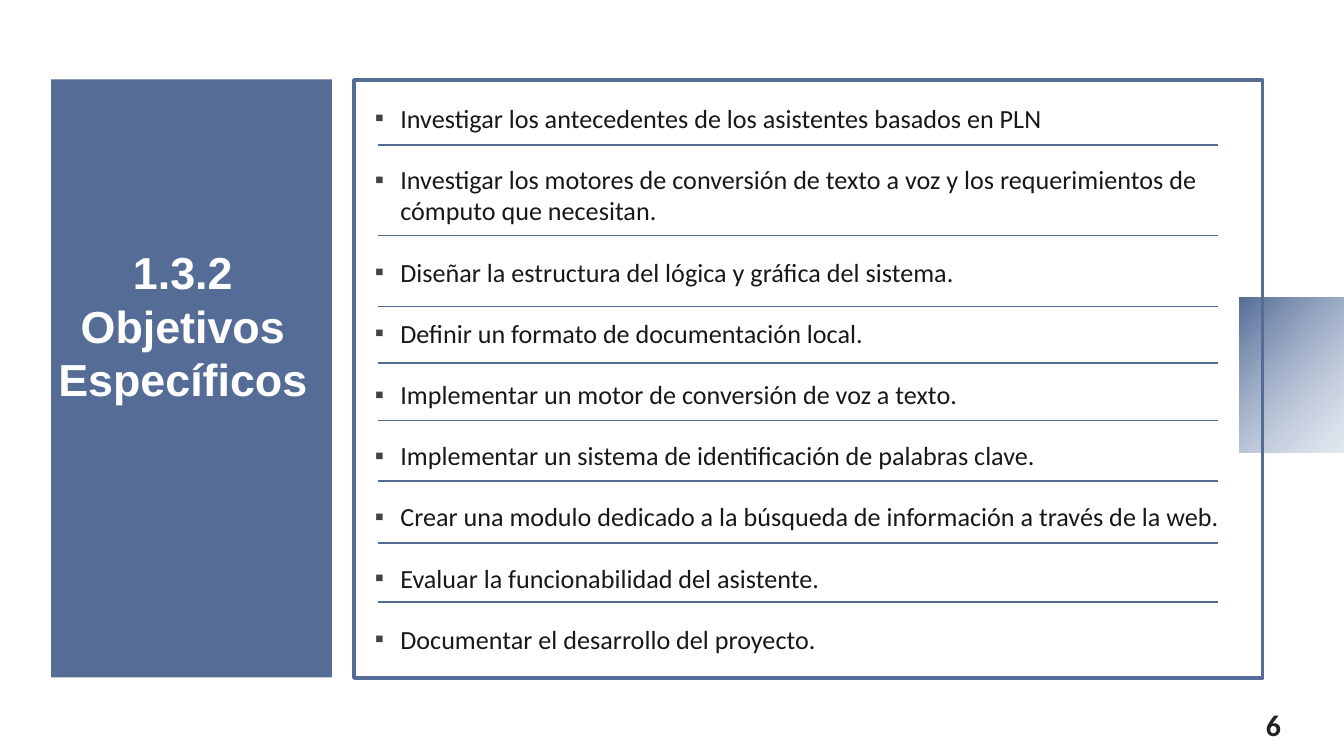
import pptx
import pptx.util
import pptx.dml.color
import pptx.enum.shapes
import pptx.enum.text
import pptx.oxml
import pptx.oxml.ns
import lxml.etree

Inches = pptx.util.Inches
Pt = pptx.util.Pt
Align = pptx.enum.text.PP_ALIGN
Anchor = pptx.enum.text.MSO_ANCHOR
qn = pptx.oxml.ns.qn


def color(value):
    return pptx.dml.color.RGBColor.from_string(value)


def add_text(box, paragraphs, paragraph_format, font_format, anchor=Anchor.TOP, bullet=None):
    frame = slide.shapes.add_textbox(*map(Inches, box)).text_frame
    frame.word_wrap = True
    frame.vertical_anchor = anchor
    for side in ("left", "right", "top", "bottom"):
        setattr(frame, f"margin_{side}", Inches(0.1))
    for index, wording in enumerate(paragraphs):
        paragraph = frame.paragraphs[0] if index == 0 else frame.add_paragraph()
        for name, value in paragraph_format.items():
            setattr(paragraph, name, value)
        if bullet:
            properties = paragraph._p.get_or_add_pPr()
            properties.set("marL", str(Inches(0.19)))
            properties.set("indent", str(Inches(-0.19)))
            bullet_color = lxml.etree.SubElement(properties, qn("a:buClr"))
            lxml.etree.SubElement(bullet_color, qn("a:srgbClr"), val="434343")
            lxml.etree.SubElement(properties, qn("a:buFont"), typeface="Arial")
            lxml.etree.SubElement(properties, qn("a:buChar"), char=bullet)
        run = paragraph.add_run()
        run.text = wording
        for name, value in font_format.items():
            if name == "color":
                run.font.color.rgb = color(value)
            else:
                setattr(run.font, name, value)


presentation = pptx.Presentation()
presentation.slide_width = Inches(10)
presentation.slide_height = Inches(10) * 9 // 16
slide = presentation.slides.add_slide(presentation.slide_layouts[6])

blocks = []
for box, rotation in [
    ((9.03, 2.4, 1.16, 0.78), 270),
    ((-0.8, 1.77, 4.45, 2.09), 90),
    ((3.79, -0.56, 4.45, 6.76), 270),
]:
    block = slide.shapes.add_shape(
        pptx.enum.shapes.MSO_SHAPE.RECTANGLE, *map(Inches, box))
    block.rotation = rotation
    block.shadow.inherit = False
    block.line.fill.background()
    blocks.append(block)
side_accent, title_panel, goals_frame = blocks

side_accent.fill.gradient()
side_accent.fill.gradient_angle = 45
for stop, position, shade in zip(side_accent.fill.gradient_stops, (0, 1), ("A9B9D3", "556D96")):
    stop.position = position
    stop.color.rgb = color(shade)
pale = side_accent._element.spPr.find(".//" + qn("a:srgbClr"))
lxml.etree.SubElement(pale, qn("a:alpha"), val="31000")

title_panel.fill.solid()
title_panel.fill.fore_color.rgb = color("556D96")

goals_frame.fill.background()
goals_frame.line.color.rgb = color("556D96")
goals_frame.line.width = Pt(2)

add_text(
    (0.17, 2.14, 2.38, 0.98),
    ["1.3.2 Objetivos Específicos"],
    {"alignment": Align.CENTER},
    {"size": Pt(24), "name": "Arial", "color": "FFFFFF", "bold": True},
    anchor=Anchor.BOTTOM,
)

goals = [
    "Investigar los antecedentes de los asistentes basados en PLN",
    "Investigar los motores de conversión de texto a voz y los requerimientos de cómputo que necesitan.",
    "Diseñar la estructura del lógica y gráfica del sistema.",
    "Definir un formato de documentación local.",
    "Implementar un motor de conversión de voz a texto.",
    "Implementar un sistema de identificación de palabras clave.",
    "Crear una modulo dedicado a la búsqueda de información a través de la web.",
    "Evaluar la funcionabilidad del asistente.",
    "Documentar el desarrollo del proyecto.",
]
add_text(
    (2.69, 0.66, 6.71, 4.33),
    goals,
    {"alignment": Align.LEFT, "space_after": Pt(16)},
    {"size": Pt(14), "name": "Calibri", "color": "181818"},
    bullet="▪",
)

for y in (1.08, 1.75, 2.28, 2.7, 3.13, 3.58, 4.04, 4.48):
    divider = slide.shapes.add_connector(
        pptx.enum.shapes.MSO_CONNECTOR.STRAIGHT,
        Inches(2.81), Inches(y), Inches(9.06), Inches(y))
    divider.line.color.rgb = color("526A94")
    divider.line.width = Pt(0.75)
    lxml.etree.SubElement(divider._element.spPr, qn("a:effectLst"))

add_text(
    (9.32, 5.16, 0.68, 0.31),
    ["6"],
    {"alignment": Align.JUSTIFY},
    {"size": Pt(16), "name": "Calibri", "color": "212121", "bold": True},
)

presentation.save("out.pptx")
